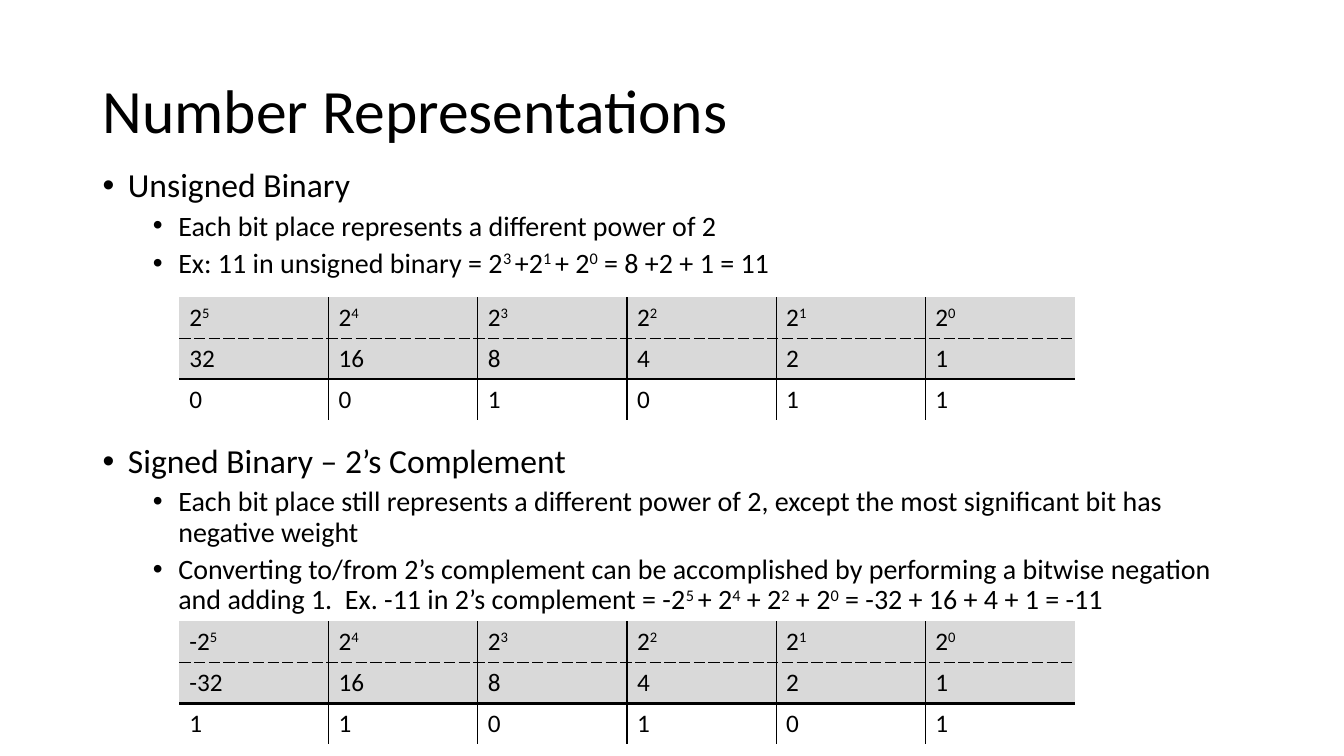
"""Build a slide explaining unsigned and two's complement binary numbers."""
from dataclasses import dataclass

from lxml import etree
from pptx import Presentation
from pptx import util as u
from pptx.dml.color import RGBColor
from pptx.enum import text
from pptx.oxml import ns

TITLE = "Number Representations"

# (level, points before, text); carets enclose superscripts
POINTS = [
    (0, 10, "Unsigned Binary"),
    (1, 5, "Each bit place represents a different power of 2"),
    (1, 5, "Ex: 11 in unsigned binary = 2^3 ^+2^1 ^+ 2^0^ = 8 +2 + 1 = 11"),
    (0, 118, "Signed Binary – 2’s Complement"),
    (1, 5, "Each bit place still represents a different power of 2, "
           "except the most significant bit has negative weight"),
    (1, 5, "Converting to/from 2’s complement can be accomplished by performing "
           "a bitwise negation and adding 1.  Ex. -11 in 2’s complement = "
           "-2^5 ^+ 2^4^ + 2^2^ + 2^0^ = -32 + 16 + 4 + 1 = -11"),
]

# (top in cm, sign of the leading bit, bits)
BIT_TABLES = [(7.49, "", "001011"), (15.66, "-", "110101")]

TITLE_BOX = (2.33, 1.01, 29.21, 3.68)
BODY_BOX = (2.33, 4.12, 29.21, 12.09)
TABLE_LEFT, COLUMN_WIDTH, ROW_HEIGHT = 4.52, 3.76, 1.03
INDENTS = (0.64, 1.91)
HANGING = 0.64
PLAIN_TABLE_STYLE = "{2D5ABB26-0587-4C30-8999-92F81FD0307C}"


@dataclass(frozen=True)
class Theme:
    """Colours, font and type sizes of the slide."""
    font: str = "Calibri"
    ink: str = "000000"
    shade: str = "D9D9D9"
    title: int = 44
    levels: tuple = (24, 20)
    cell: int = 18


THEME = Theme()
THIN, DASHED, THICK = (1, "solid"), (1, "sysDash"), (2.25, "solid")


def apply(target, formats):
    """Set each named attribute on the target."""
    for name, value in formats.items():
        setattr(target, name, value)


def place(box, lengths):
    """Move and size a box with lengths in centimetres."""
    apply(box, dict(zip(("left", "top", "width", "height"), map(u.Cm, lengths))))


def write(para, content, size):
    """Write text with caret-enclosed superscripts."""
    for index, piece in enumerate(content.split("^")):
        if not piece:
            continue
        span = para.add_run()
        span.text = piece
        apply(span.font, {"name": THEME.font, "size": u.Pt(size)})
        span.font.color.rgb = RGBColor.from_string(THEME.ink)
        if index % 2:
            span._r.get_or_add_rPr().set("baseline", "30000")


def add_bullet(para, level):
    """Give a paragraph a round bullet and hanging indent."""
    props = para._p.get_or_add_pPr()
    props.set("marL", str(u.Cm(INDENTS[level])))
    props.set("indent", str(-u.Cm(HANGING)))
    etree.SubElement(props, ns.qn("a:buFont"), typeface="Arial")
    etree.SubElement(props, ns.qn("a:buChar"), char="•")


def add_border(cell, side, line):
    """Draw one side of a cell, or hide it when there is no line."""
    props = cell._tc.get_or_add_tcPr()
    edge = etree.SubElement(props, ns.qn(f"a:ln{side}"))
    if line is None:
        etree.SubElement(edge, ns.qn("a:noFill"))
        return
    points, dash = line
    edge.set("w", str(u.Pt(points)))
    paint = etree.SubElement(edge, ns.qn("a:solidFill"))
    etree.SubElement(paint, ns.qn("a:srgbClr"), val=THEME.ink)
    etree.SubElement(edge, ns.qn("a:prstDash"), val=dash)


def add_bit_table(page, top, sign, bits):
    """Add a table of bit weights, their values and the bits."""
    count = len(bits)
    powers = range(count - 1, -1, -1)
    signs = [sign] + [""] * (count - 1)
    rows = [
        [f"{mark}2^{power}^" for mark, power in zip(signs, powers)],
        [f"{mark}{2 ** power}" for mark, power in zip(signs, powers)],
        list(bits),
    ]
    frame = page.shapes.add_table(
        len(rows), count, u.Cm(TABLE_LEFT), u.Cm(top),
        u.Cm(COLUMN_WIDTH * count), u.Cm(ROW_HEIGHT * len(rows)))
    table = frame.table
    apply(table, {"first_row": False, "horz_banding": False})
    table._tbl.tblPr.find(ns.qn("a:tableStyleId")).text = PLAIN_TABLE_STYLE
    rules = (None, DASHED, THICK, None)
    for row, values in enumerate(rows):
        for column, value in enumerate(values):
            cell = table.cell(row, column)
            write(cell.text_frame.paragraphs[0], value, THEME.cell)
            add_border(cell, "L", THIN if column else None)
            add_border(cell, "R", THIN if column < count - 1 else None)
            add_border(cell, "T", rules[row])
            add_border(cell, "B", rules[row + 1])
            if row < len(rows) - 1:
                cell.fill.solid()
                cell.fill.fore_color.rgb = RGBColor.from_string(THEME.shade)
            else:
                cell.fill.background()


def main():
    """Build and save the deck."""
    deck = Presentation()
    apply(deck, {"slide_width": u.Cm(33.87), "slide_height": u.Cm(19.05)})
    page = deck.slides.add_slide(deck.slide_layouts[1])

    title, body = page.shapes.title, page.placeholders[1]
    place(title, TITLE_BOX)
    place(body, BODY_BOX)
    apply(title.text_frame, {"vertical_anchor": text.MSO_ANCHOR.MIDDLE,
                             "auto_size": text.MSO_AUTO_SIZE.NONE})
    apply(body.text_frame, {"vertical_anchor": text.MSO_ANCHOR.TOP,
                            "auto_size": text.MSO_AUTO_SIZE.NONE})

    heading = title.text_frame.paragraphs[0]
    apply(heading, {"alignment": text.PP_ALIGN.LEFT, "line_spacing": 0.9})
    write(heading, TITLE, THEME.title)

    for index, (level, before, content) in enumerate(POINTS):
        frame = body.text_frame
        para = frame.add_paragraph() if index else frame.paragraphs[0]
        apply(para, {"level": level, "line_spacing": 0.9,
                     "space_before": u.Pt(before)})
        add_bullet(para, level)
        write(para, content, THEME.levels[level])

    for top, sign, bits in BIT_TABLES:
        add_bit_table(page, top, sign, bits)
    deck.save("out.pptx")


if __name__ == "__main__":
    main()
